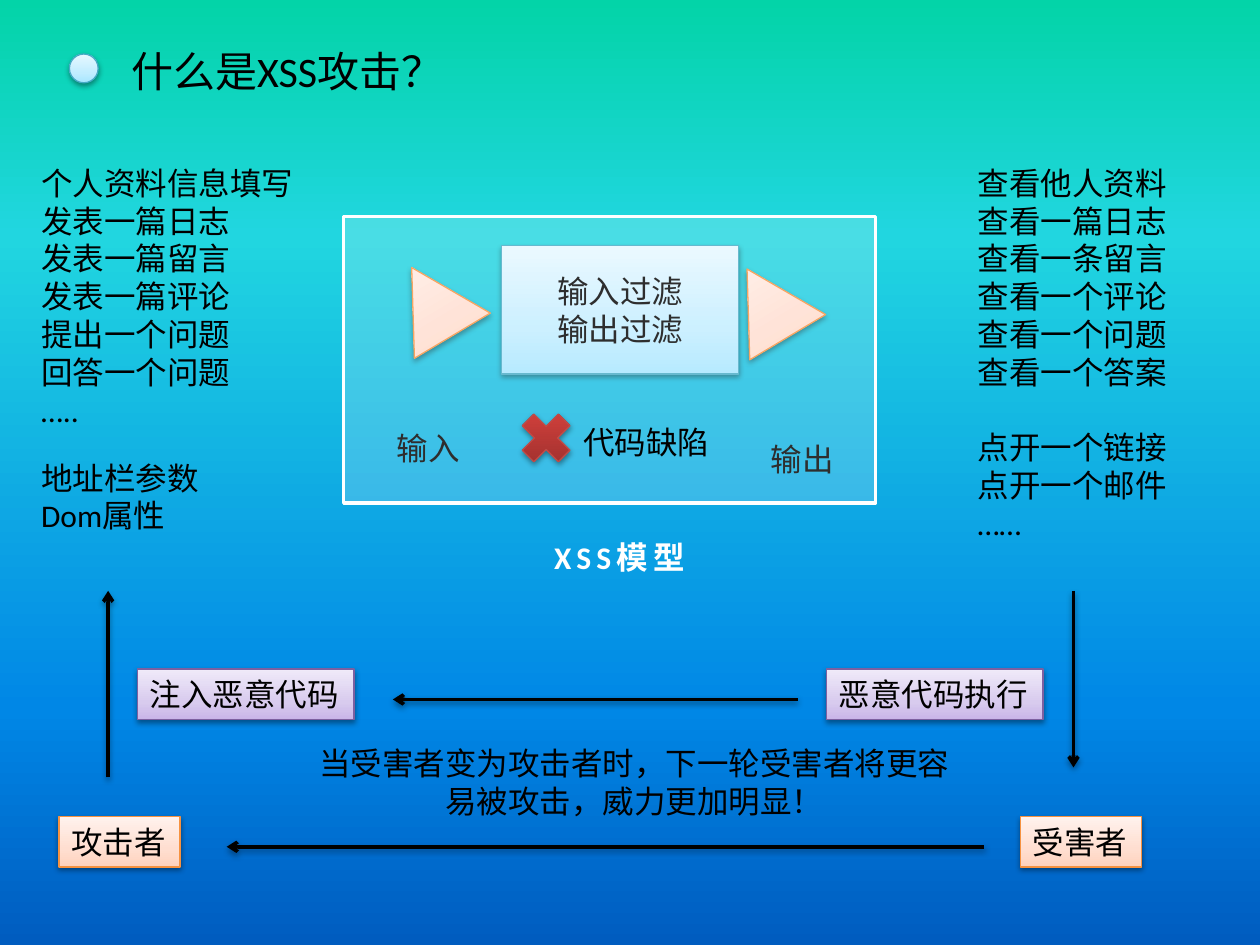
from lxml.etree import SubElement
from pptx import Presentation
from pptx.dml.color import RGBColor
from pptx.enum.shapes import MSO_CONNECTOR, MSO_SHAPE as SHAPE
from pptx.enum.text import MSO_ANCHOR as ANCHOR, MSO_AUTO_SIZE as AUTO_SIZE, PP_ALIGN as ALIGN
from pptx.oxml.ns import qn
from pptx.util import Cm, Pt

FONT = "Calibri"
COLORS = {"text": "000000", "white": "FFFFFF", "blue": "46AAC5", "orange": "F69240",
          "purple": "7D60A0", "red": "BF4C48"}
GRADIENTS = {
    "sky": [(0, "03D4A8"), (25, "21D6E0"), (75, "0087E6"), (100, "005CBF")],
    "blue": [(0, "A7E6FF"), (35, "C1EDFF"), (100, "E7F8FF")],
    "orange": [(0, "FFD2BD"), (35, "FFDED0"), (100, "FFF2ED")],
    "purple": [(0, "C9B5E8"), (35, "D8CBEE"), (100, "F0EAF9")],
    "red": [(0, "9C2F2D"), (80, "CB3E3A"), (100, "CE3B37")],
}

TITLE = "什么是XSS攻击？"
INPUTS = ["个人资料信息填写", "发表一篇日志", "发表一篇留言", "发表一篇评论",
          "提出一个问题", "回答一个问题", "….."]
PARAMETERS = ["地址栏参数", "Dom属性"]
VIEWS = ["查看他人资料", "查看一篇日志", "查看一条留言", "查看一个评论",
         "查看一个问题", "查看一个答案", "点开一个链接", "点开一个邮件", "……"]
FIRST_LINK = VIEWS.index("点开一个链接")
FILTERS = ["输入过滤", "输出过滤"]
NOTE = "当受害者变为攻击者时，下一轮受害者将更容易被攻击，威力更加明显！"

TAGS = [
    ("攻击者", "orange", (1.19, 16.46, 2.44, 1.02)),
    ("受害者", "orange", (20.57, 16.46, 2.44, 1.02)),
    ("注入恶意代码", "purple", (2.77, 13.49, 4.37, 1.02)),
    ("恶意代码执行", "purple", (16.66, 13.49, 4.37, 1.02)),
]
FLOW_TRIANGLES = [(7.82, 5.28, 1.78, 1.6), (14.58, 5.31, 1.78, 1.6)]
FLOW_LABELS = [("输入", (7.75, 8.53, 1.8, 1.02)), ("输出", (15.29, 8.74, 1.8, 1.02))]
ARROWS = [
    (2.18, 15.67, 2.18, 11.91),
    (21.64, 11.91, 21.64, 15.47),
    (16.08, 14.1, 7.92, 14.1),
    (19.84, 17.07, 4.57, 17.07),
]


def rgb(name):
    return RGBColor.from_string(COLORS[name])


def cm(lengths):
    return [Cm(length) for length in lengths]


def paint_gradient(root, name, angle):
    empty_fill = root.find(".//" + qn("a:noFill"))
    gradient = empty_fill.makeelement(qn("a:gradFill"), {"rotWithShape": "1"})
    stops = SubElement(gradient, qn("a:gsLst"))
    for position, color in GRADIENTS[name]:
        stop = SubElement(stops, qn("a:gs"), pos=str(position * 1000))
        SubElement(stop, qn("a:srgbClr"), val=color)
    SubElement(gradient, qn("a:lin"), ang=str(angle * 60000), scaled="0")
    empty_fill.getparent().replace(empty_fill, gradient)


def cast_shadow(effects, alpha=38):
    shadow = SubElement(effects, qn("a:outerShdw"), blurRad="40000", dist="20000",
                        dir="5400000", rotWithShape="0")
    color = SubElement(shadow, qn("a:srgbClr"), val=COLORS["text"])
    SubElement(color, qn("a:alpha"), val=str(alpha * 1000))


def write(box, lines, align=ALIGN.LEFT, anchor=ANCHOR.TOP, wrap=False, size=18, color="text"):
    frame = box.text_frame
    frame.text = "\n".join(lines)
    frame.word_wrap = wrap
    frame.auto_size = AUTO_SIZE.NONE if anchor == ANCHOR.MIDDLE else AUTO_SIZE.SHAPE_TO_FIT_TEXT
    frame.vertical_anchor = anchor
    for paragraph in frame.paragraphs:
        paragraph.alignment = align
        paragraph.font.size = Pt(size)
        paragraph.font.name = FONT
        paragraph.font.color.rgb = rgb(color)
    return frame


def add_text(slide, lines, place, **style):
    return write(slide.shapes.add_textbox(*cm(place)), lines, **style)


def add_glossy(slide, kind, color, place):
    glossy = slide.shapes.add_shape(kind, *cm(place))
    glossy.fill.background()
    paint_gradient(glossy.element.spPr, color, 270)
    glossy.line.color.rgb = rgb(color)
    glossy.line.width = Pt(0.75)
    glossy.shadow.inherit = False
    cast_shadow(glossy.element.spPr.find(qn("a:effectLst")))
    return glossy


def add_arrow(slide, ends):
    arrow = slide.shapes.add_connector(MSO_CONNECTOR.STRAIGHT, *cm(ends))
    arrow.line.color.rgb = rgb("text")
    arrow.line.width = Pt(2)
    properties = arrow.element.spPr
    SubElement(properties.find(qn("a:ln")), qn("a:tailEnd"), type="arrow")
    cast_shadow(SubElement(properties, qn("a:effectLst")))


def add_model(slide):
    for place in FLOW_TRIANGLES:
        add_glossy(slide, SHAPE.ISOSCELES_TRIANGLE, "orange", place).rotation = 329.2
    filters = add_glossy(slide, SHAPE.RECTANGLE, "blue", (10.11, 4.95, 4.78, 2.59))
    write(filters, FILTERS, align=ALIGN.CENTER, anchor=ANCHOR.MIDDLE, wrap=True)
    for label, place in FLOW_LABELS:
        add_text(slide, [label], place)

    veil = slide.shapes.add_shape(SHAPE.RECTANGLE, *cm((6.93, 4.37, 10.72, 5.77)))
    veil.shadow.inherit = False
    veil.fill.solid()
    veil.fill.fore_color.rgb = rgb("white")
    veil_color = veil.element.spPr.find(qn("a:solidFill")).find(qn("a:srgbClr"))
    SubElement(veil_color, qn("a:alpha"), val="18000")
    veil.line.color.rgb = rgb("white")
    veil.line.width = Pt(2)

    add_glossy(slide, SHAPE.MATH_MULTIPLY, "red", (10.31, 8.13, 1.4, 1.4))
    add_text(slide, ["代码缺陷"], (11.51, 8.41, 3.07, 1.02))
    caption = add_text(slide, ["XSS模型"], (10.92, 10.72, 3.3, 1.02), color="white")
    caption.paragraphs[0].font.bold = True
    caption.paragraphs[0].runs[0].font._element.set("spc", "300")


def main():
    """Build the slide that explains an XSS attack."""
    deck = Presentation()
    deck.slide_width, deck.slide_height = Cm(25.4), Cm(19.05)
    slide = deck.slides.add_slide(deck.slide_layouts[5])
    slide.background.fill.background()
    paint_gradient(slide.element, "sky", 90)

    title = slide.shapes.title
    title.left, title.top, title.width, title.height = cm((2.39, 0.79, 6.86, 1.27))
    write(title, [TITLE], size=24)
    add_glossy(slide, SHAPE.OVAL, "blue", (1.4, 1.09, 0.58, 0.58))

    add_text(slide, INPUTS, (0.58, 3.18, 5.64, 5.64))
    add_text(slide, PARAMETERS, (0.58, 9.12, 3.71, 1.8))
    views = add_text(slide, VIEWS, (19.46, 3.18, 4.37, 7.95))
    views.paragraphs[FIRST_LINK].space_before = Pt(21.6)

    add_model(slide)
    for label, color, place in TAGS:
        write(add_glossy(slide, SHAPE.RECTANGLE, color, place), [label])
    for ends in ARROWS:
        add_arrow(slide, ends)
    add_text(slide, [NOTE], (5.94, 14.88, 13.69, 1.8), align=ALIGN.CENTER, wrap=True)
    deck.save("out.pptx")


if __name__ == "__main__":
    main()
